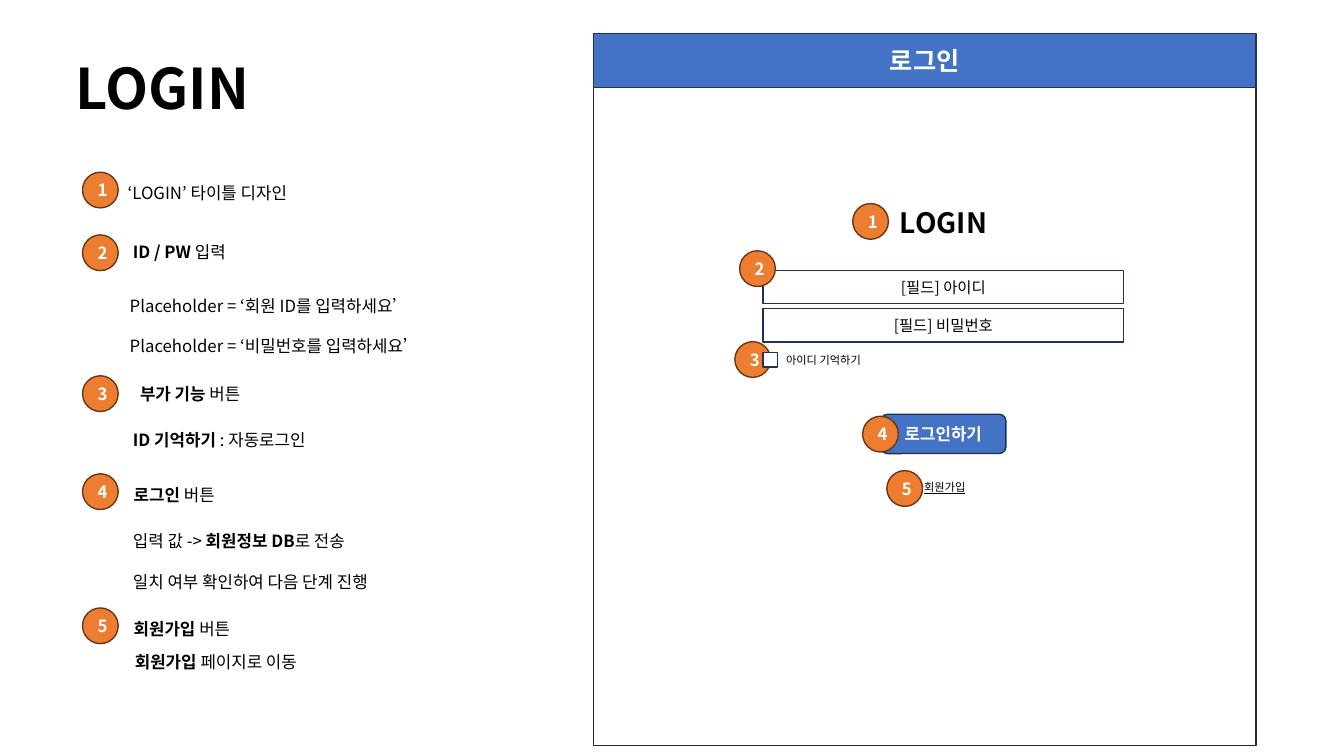
from lxml import etree
from pptx import Presentation
from pptx.dml.color import RGBColor
from pptx.enum.shapes import MSO_SHAPE
from pptx.enum.text import MSO_ANCHOR, MSO_AUTO_SIZE, PP_ALIGN
from pptx.oxml.ns import qn
from pptx.util import Cm, Pt

RECT, ROUND, OVAL = MSO_SHAPE.RECTANGLE, MSO_SHAPE.ROUNDED_RECTANGLE, MSO_SHAPE.OVAL
TOP, MIDDLE = MSO_ANCHOR.TOP, MSO_ANCHOR.MIDDLE
LEFT, CENTER = PP_ALIGN.LEFT, PP_ALIGN.CENTER
GROW = MSO_AUTO_SIZE.SHAPE_TO_FIT_TEXT
FONT = "Noto Sans CJK KR"
WHITE, BLACK, BLUE, ORANGE = "FFFFFF", "000000", "4472C4", "ED7D31"
NAVY, SLATE, BROWN = "1E3256", "222A35", "683715"


def color(code):
    return RGBColor.from_string(code)


def write(frame, *lines, size=12, ink=BLACK, bold=False, line=False, align=LEFT, gap=None):
    """Asterisks in a line switch its weight."""
    for i, text in enumerate(lines):
        para = frame.add_paragraph() if i else frame.paragraphs[0]
        para.alignment = align
        if gap:
            para.line_spacing = gap
        for j, part in enumerate(text.split("*")):
            if not part:
                continue
            run = para.add_run()
            run.text = part
            font = run.font
            font.name, font.size = FONT, Pt(size)
            font.bold = bold != (j % 2 == 1)
            font.underline = line
            font.color.rgb = color(ink)
            etree.SubElement(font._element, qn("a:ea"), typeface=FONT)


class Page:
    dot = 0.9

    def __init__(self, deck):
        self.slide = deck.slides.add_slide(deck.slide_layouts[5])

    def title(self, text, x, y, w, h):
        shape = self.slide.shapes.title
        shape.left, shape.top, shape.width, shape.height = Cm(x), Cm(y), Cm(w), Cm(h)
        self.fit(shape.text_frame)
        write(shape.text_frame, text, size=40, bold=True)

    def fit(self, frame):
        frame.word_wrap = False
        frame.auto_size = GROW
        frame.vertical_anchor = TOP

    def label(self, x, y, w, h, *lines, **style):
        box = self.slide.shapes.add_textbox(Cm(x), Cm(y), Cm(w), Cm(h))
        self.fit(box.text_frame)
        write(box.text_frame, *lines, **style)

    def block(self, kind, x, y, w, h, text="", fill=WHITE, edge=NAVY, **style):
        shape = self.slide.shapes.add_shape(kind, Cm(x), Cm(y), Cm(w), Cm(h))
        shape.shadow.inherit = False
        shape.fill.solid()
        shape.fill.fore_color.rgb = color(fill)
        shape.line.color.rgb = color(edge)
        shape.line.width = Pt(1)
        shape.text_frame.vertical_anchor = MIDDLE
        if text:
            write(shape.text_frame, text, align=CENTER, **style)

    def badge(self, num, x, y):
        self.block(OVAL, x, y, self.dot, self.dot, str(num),
                   fill=ORANGE, edge=BROWN, ink=WHITE, bold=True)


deck = Presentation()
deck.slide_width, deck.slide_height = Cm(33.87), Cm(19.05)
page = Page(deck)
page.title("LOGIN", 1.65, 1.22, 4.9, 1.96)

page.block(RECT, 14.96, 1.8, 16.69, 16.99, edge=SLATE)
page.block(RECT, 14.96, 0.84, 16.69, 1.37, "로그인", fill=BLUE, size=18, ink=WHITE, bold=True)
for i, field in enumerate(["아이디", "비밀번호"]):
    page.block(RECT, 19.23, 6.81 + i * 0.97, 9.09, 0.84, f"[필드] {field}", size=11)
page.block(ROUND, 22.2, 10.44, 3.15, 0.99, "로그인하기", fill=BLUE, ink=WHITE, bold=True)

marks = [(21.49, 5.13), (18.64, 6.32), (18.52, 8.61), (21.74, 10.49), (22.35, 11.86)]
for num, (x, y) in enumerate(marks, 1):
    page.badge(num, x, y)
for num, y in enumerate([4.34, 5.92, 9.47, 11.94, 15.32], 1):
    page.badge(num, 2.08, y)

page.block(RECT, 19.23, 8.89, 0.36, 0.36)
page.label(22.43, 5.05, 2.72, 1.12, "LOGIN", size=20, bold=True)
page.label(19.56, 8.79, 2.62, 0.61, "아이디 기억하기", size=8)
page.label(23.04, 11.99, 1.65, 0.61, "회원가입", size=8, line=True)

notes = [
    (2.97, 4.47, 4.83, "‘LOGIN’ 타이틀 디자인"),
    (3.1, 5.97, 3.18, "*ID / PW *입력"),
    (3.28, 9.55, 3.38, "*부가 기능 *버튼"),
    (3.12, 12.09, 2.79, "*로그인 *버튼"),
    (3.12, 15.47, 3.23, "*회원가입 *버튼"),
    (3.15, 16.31, 5.08, "*회원가입 *페이지로 이동"),
]
for x, y, w, text in notes:
    page.label(x, y, w, 0.76, text)
page.label(3.02, 6.81, 8, 2.13, "Placeholder = ‘회원 ID를 입력하세요’",
           "Placeholder = ‘비밀번호를 입력하세요’", gap=2.0)
page.label(3.1, 10.44, 5.36, 0.91, "*ID 기억하기 *: 자동로그인", gap=1.5)
page.label(3.1, 12.75, 7.26, 2.13, "입력 값 -> *회원정보 DB*로 전송",
           "일치 여부 확인하여 다음 단계 진행", gap=2.0)

deck.save("out.pptx")
